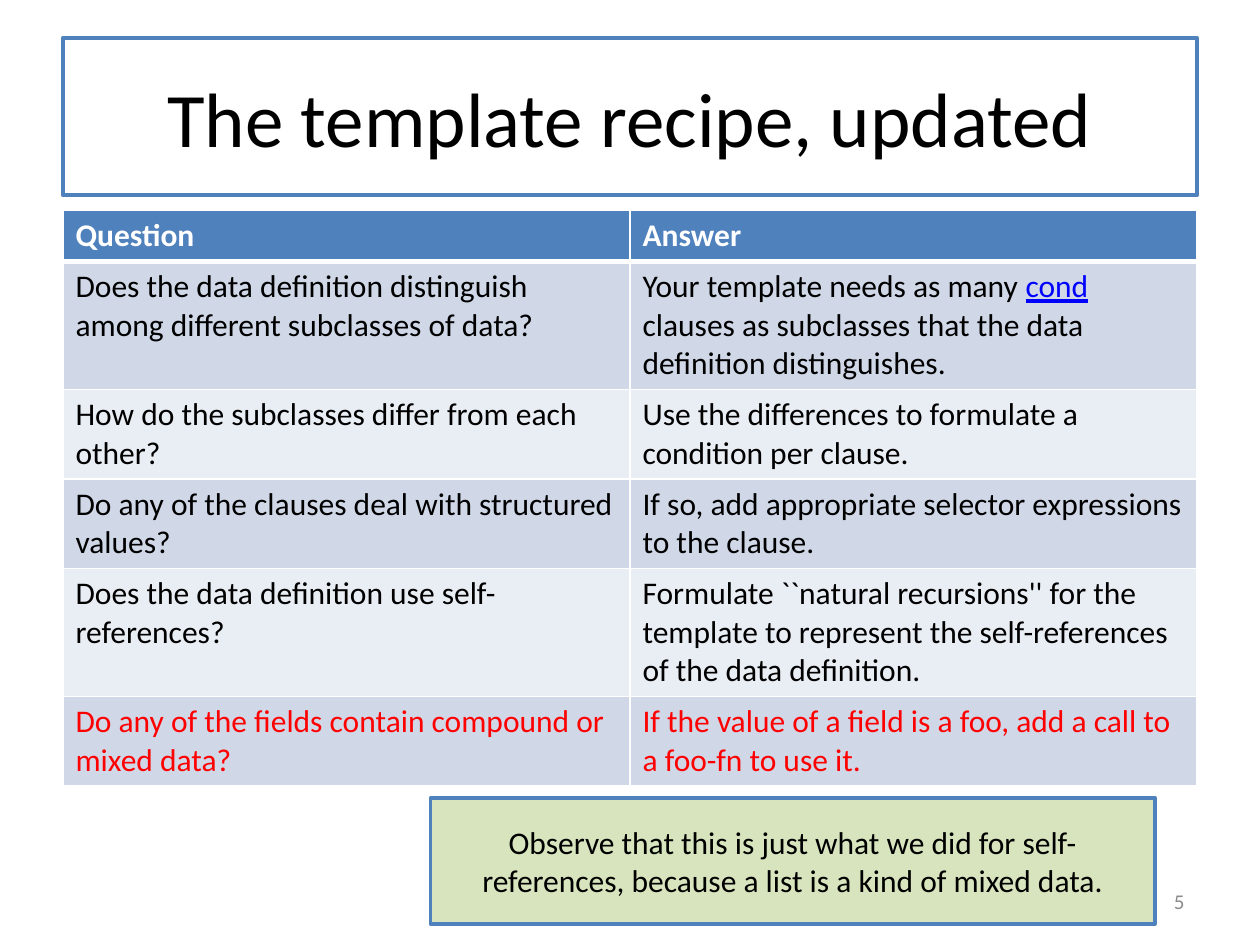
"""Build the slide on the updated template recipe."""
from itertools import product

from lxml.etree import SubElement
from pptx import Presentation
from pptx.dml.color import RGBColor
from pptx.enum.shapes import MSO_SHAPE as Shape
from pptx.enum.text import MSO_ANCHOR as Anchor, PP_ALIGN as Align
from pptx.oxml.ns import qn
from pptx.util import Pt

THEME = {
    "font": "Calibri",
    "title": 44, "body": 18, "small": 12,
    "black": "000000", "white": "FFFFFF", "blue": "4F81BD", "green": "D7E4BD",
    "red": "FF0000", "link": "0000FF", "grey": "8C8C8C",
    "bands": ("E9EDF4", "D0D8E8"),
}
TITLE = "The template recipe, updated"
HEADER = ("Question", "Answer")
RECIPE = [
    ("Does the data definition distinguish among different subclasses of data?",
     ("Your template needs as many ", "cond",
      " clauses as subclasses that the data definition distinguishes.")),
    ("How do the subclasses differ from each other?",
     "Use the differences to formulate a condition per clause."),
    ("Do any of the clauses deal with structured values?",
     "If so, add appropriate selector expressions to the clause."),
    ("Does the data definition use self-references?",
     "Formulate ``natural recursions'' for the template to represent "
     "the self-references of the data definition."),
    ("Do any of the fields contain compound or mixed data?",
     "If the value of a field is a foo, add a call to a foo-fn to use it."),
]
REMARK = ("Observe that this is just what we did for self-references, "
          "because a list is a kind of mixed data.")
PAGE_NUMBER = "5"
LEFT, WIDTH = 36, 648
ROW_HEIGHT = 29.2


def rgb(name):
    return RGBColor.from_string(THEME.get(name, name))


def write(frame, text, size="body", color="black", bold=False, align=Align.LEFT):
    """Fill a text frame; in a tuple of parts every second one is underlined."""
    frame.word_wrap = True
    para = frame.paragraphs[0]
    para.alignment = align
    for index, part in enumerate((text,) if isinstance(text, str) else text):
        marked = index % 2 == 1
        span = para.add_run()
        span.text = part
        span.font.name = THEME["font"]
        span.font.size = Pt(THEME[size])
        span.font.bold = bold
        span.font.underline = marked
        span.font.color.rgb = rgb("link" if marked else color)


def add_panel(page, place, text, fill, line_width, size):
    box = page.shapes.add_shape(Shape.RECTANGLE, *map(Pt, place))
    box.shadow.inherit = False
    box.fill.solid()
    box.fill.fore_color.rgb = rgb(fill)
    box.line.color.rgb = rgb("blue")
    box.line.width = Pt(line_width)
    box.text_frame.vertical_anchor = Anchor.MIDDLE
    write(box.text_frame, text, size=size, align=Align.CENTER)


def set_borders(cell, widths):
    properties = cell._tc.get_or_add_tcPr()
    for side, width in zip("LRTB", widths):
        line = SubElement(properties, qn(f"a:ln{side}"), w=str(Pt(width)))
        fill = SubElement(line, qn("a:solidFill"))
        SubElement(fill, qn("a:srgbClr"), val=THEME["white"])


def add_recipe(page):
    rows = [HEADER, *RECIPE]
    holder = page.shapes.add_table(len(rows), len(HEADER), Pt(LEFT), Pt(120.2),
                                   Pt(WIDTH), Pt(ROW_HEIGHT * len(rows)))
    for row, column in product(range(len(rows)), range(len(HEADER))):
        cell = holder.table.cell(row, column)
        is_header = row == 0
        set_borders(cell, (1, 1, 3 if row == 1 else 1, 3 if is_header else 1))
        cell.fill.solid()
        cell.fill.fore_color.rgb = rgb("blue" if is_header else THEME["bands"][row % 2])
        color = "white" if is_header else "red" if row == len(RECIPE) else "black"
        write(cell.text_frame, rows[row][column], color=color, bold=is_header)
    holder.height = Pt(324.7)


def main():
    deck = Presentation()
    deck.slide_width, deck.slide_height = Pt(720), Pt(540)
    page = deck.slides.add_slide(deck.slide_layouts[6])
    add_panel(page, (LEFT, 21.6, WIDTH, 90), TITLE, "white", 2.25, "title")
    add_recipe(page)
    number = page.shapes.add_textbox(Pt(516), Pt(500.5), Pt(168), Pt(28.75))
    number.text_frame.vertical_anchor = Anchor.MIDDLE
    write(number.text_frame, PAGE_NUMBER, size="small", color="grey", align=Align.RIGHT)
    add_panel(page, (246, 456, 414, 72), REMARK, "green", 2, "body")
    deck.save("out.pptx")


if __name__ == "__main__":
    main()
